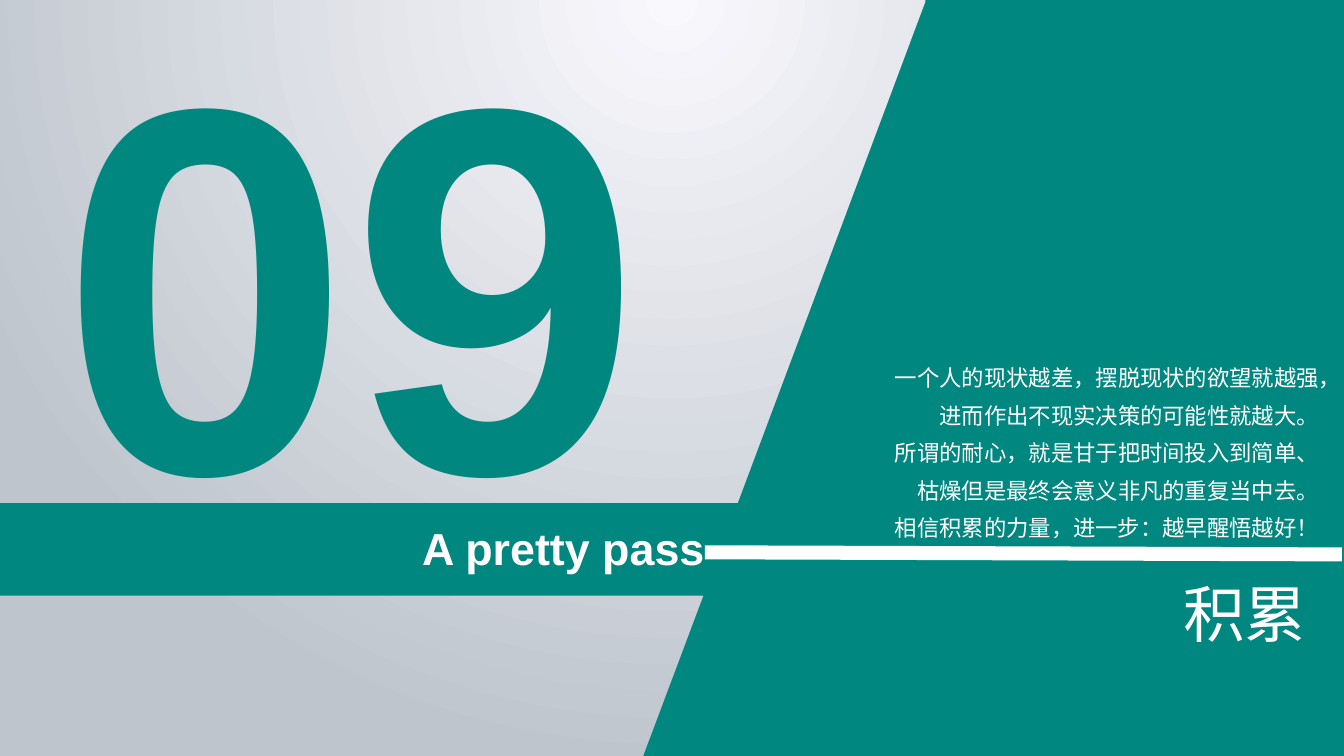
"""Build the section slide 09 with its slanted teal panel."""
from lxml import etree
from pptx import Presentation
from pptx.dml.color import RGBColor
from pptx.enum import shapes, text
from pptx.oxml import ns
from pptx.util import Pt

COLORS = {"teal": "008780", "white": "FFFFFF", "glow": "F9F8FD", "mist": "BEC5CD"}
LATIN, CHINESE = "Arial", "Noto Sans CJK SC"
PANEL = [(661, 0), (960, 0), (960, 540), (459.5, 540), (502.5, 425.5),
         (0, 425.5), (0, 359.5), (527, 359.5), (661, 1.5)]
QUOTES = ["一个人的现状越差，摆脱现状的欲望就越强，进而作出不现实决策的可能性就越大。",
          "所谓的耐心，就是甘于把时间投入到简单、枯燥但是最终会意义非凡的重复当中去。",
          "相信积累的力量，进一步：越早醒悟越好！"]


def rgb(name):
    """Return the named colour."""
    return RGBColor.from_string(COLORS[name])


def paint_background(slide):
    """Fill the background with a glow centred above the slide."""
    fill = slide.background.fill
    fill.gradient()
    for stop, name, position in zip(fill.gradient_stops, ("glow", "mist"), (0, 1)):
        stop.color.rgb = rgb(name)
        stop.position = position
    gradient = slide.background._cSld.find(".//" + ns.qn("a:gradFill"))
    gradient.remove(gradient.find(ns.qn("a:lin")))
    circle = etree.SubElement(gradient, ns.qn("a:path"), path="circle")
    etree.SubElement(circle, ns.qn("a:fillToRect"),
                     l="50000", t="-80000", r="50000", b="180000")


def add_panel(slide, points):
    """Draw the teal outline through the points."""
    corners = [(Pt(x), Pt(y)) for x, y in points]
    builder = slide.shapes.build_freeform(*corners[0])
    builder.add_line_segments(corners[1:], close=True)
    panel = builder.convert_to_shape()
    panel.shadow.inherit = False
    panel.fill.solid()
    panel.fill.fore_color.rgb = rgb("teal")
    panel.line.fill.background()


def add_rule(slide, start, end, width):
    """Draw a white straight rule."""
    rule = slide.shapes.add_connector(
        shapes.MSO_CONNECTOR.STRAIGHT, *map(Pt, start + end))
    rule.line.color.rgb = rgb("white")
    rule.line.width = Pt(width)
    etree.SubElement(rule._element.spPr, ns.qn("a:effectLst"))


def add_words(slide, box, lines, font, color="white", wrap=True, layout=None):
    """Place paragraphs of one format in a text box."""
    frame = slide.shapes.add_textbox(*map(Pt, box)).text_frame
    frame.word_wrap = wrap
    frame.auto_size = text.MSO_AUTO_SIZE.SHAPE_TO_FIT_TEXT
    for index, line in enumerate(lines):
        paragraph = frame.add_paragraph() if index else frame.paragraphs[0]
        for key, value in (layout or {}).items():
            setattr(paragraph, key, value)
        run = paragraph.add_run()
        run.text = line
        for key, value in font.items():
            setattr(run.font, key, value)
        run.font.color.rgb = rgb(color)
        etree.SubElement(run.font._element, ns.qn("a:ea"), typeface=font["name"])


def main():
    """Assemble and save the slide."""
    deck = Presentation()
    deck.slide_width, deck.slide_height = Pt(960), Pt(540)
    slide = deck.slides.add_slide(deck.slide_layouts[6])
    right = {"alignment": text.PP_ALIGN.RIGHT}
    paint_background(slide)
    add_words(slide, (36, -38, 433.5, 459.5), ["09"],
              {"name": LATIN, "size": Pt(373), "bold": True}, "teal", wrap=False)
    add_panel(slide, PANEL)
    add_words(slide, (838, 407.5, 118, 60.5), ["积累"],
              {"name": CHINESE, "size": Pt(44)})
    add_rule(slide, (503.5, 394.5), (958.5, 396), 10)
    add_words(slide, (285, 368.5, 225.5, 46), ["A pretty pass"],
              {"name": LATIN, "size": Pt(32), "bold": True}, wrap=False, layout=right)
    add_words(slide, (624, 249, 325.5, 142.5), QUOTES,
              {"name": CHINESE, "size": Pt(16)}, layout={**right, "line_spacing": 1.4})
    deck.save("out.pptx")


if __name__ == "__main__":
    main()
